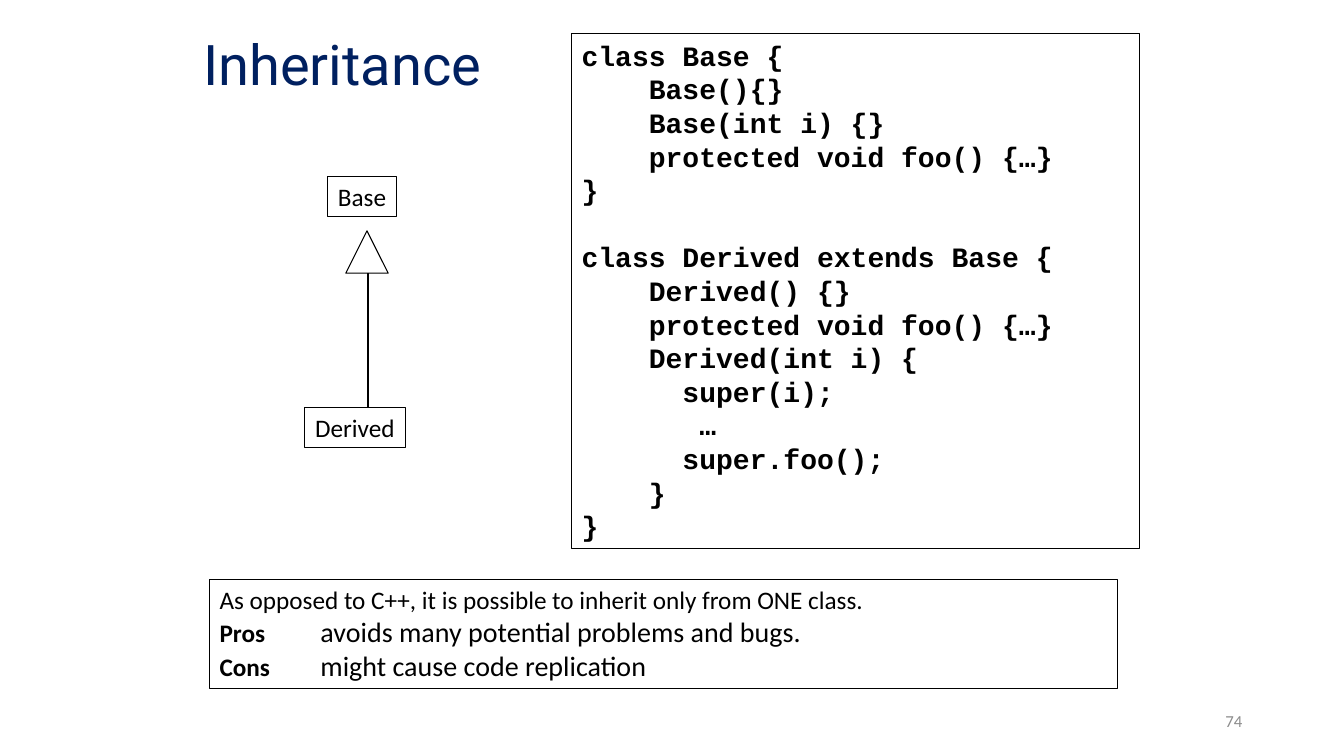
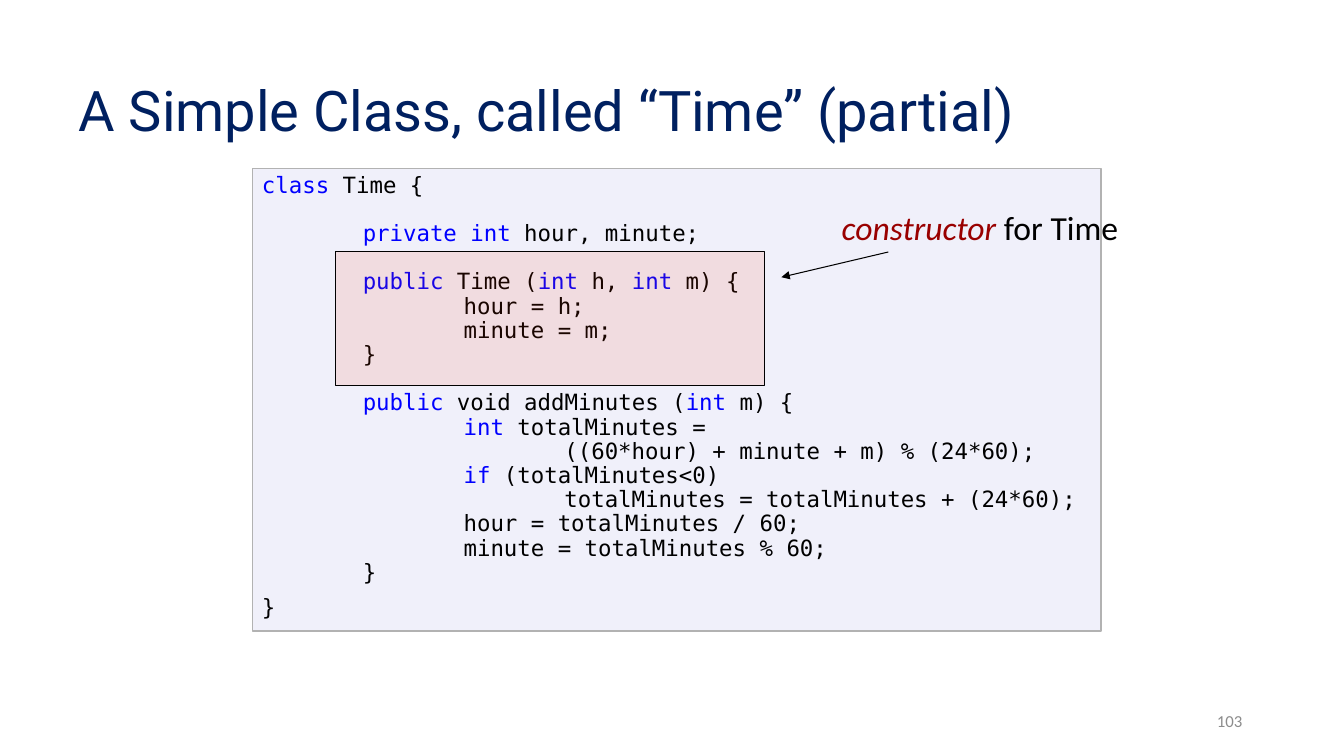
from lxml.etree import SubElement
from pptx import Presentation
from pptx.dml.color import RGBColor
from pptx.enum.shapes import MSO_CONNECTOR, MSO_SHAPE
from pptx.enum.text import MSO_ANCHOR, PP_ALIGN
from pptx.oxml.ns import qn
from pptx.util import Inches, Pt

COLORS = {
    "title": "002060",
    "text": "000000",
    "number": "8C8C8C",
    "keyword": "0000FF",
    "term": "990000",
    "code_fill": "F0F0FA",
    "code_line": "B2B2B2",
    "highlight": "FF3300",
}
BODY_FONT = "Calibri"
TITLE_FONT = "Roboto"
LINE_WIDTH = Pt(0.75)
MONO_LINE_HEIGHT = 1.2

BASE_CODE = """class Base {
    Base(){}
    Base(int i) {}
    protected void foo() {…}
}

class Derived extends Base {
    Derived() {}
    protected void foo() {…}
    Derived(int i) {
      super(i);
       …
      super.foo();
    }
}"""

# Keywords stand between bars
TIME_CODE = """|class| Time {

\t|private int| hour, minute;

\t|public| Time (|int| h, |int| m) {
\t\thour = h;
\t\tminute = m;
\t}

\t|public| void addMinutes (|int| m) {
\t\t|int| totalMinutes =
\t\t\t((60*hour) + minute + m) % (24*60);
\t\t|if| (totalMinutes<0)
\t\t\ttotalMinutes = totalMinutes + (24*60);
\t\thour = totalMinutes / 60;
\t\tminute = totalMinutes % 60;
\t}"""


def color(name):
    return RGBColor.from_string(COLORS[name])


def add_run(paragraph, text, size, ink="text", font=BODY_FONT, bold=False, italic=False):
    run = paragraph.add_run()
    run.text = text
    run.font.size = Pt(size)
    run.font.name = font
    run.font.bold = bold
    run.font.italic = italic
    run.font.color.rgb = color(ink)


def add_tab_stops(paragraph, count):
    """Put a tab stop at every inch."""
    stops = SubElement(paragraph._p.get_or_add_pPr(), qn("a:tabLst"))
    for inch in range(1, count + 1):
        SubElement(stops, qn("a:tab"), pos=str(Inches(inch)), algn="l")


def add_label(slide, left, top, width, height, anchor=MSO_ANCHOR.TOP):
    """Add a text box and return its first paragraph."""
    frame = slide.shapes.add_textbox(
        Inches(left), Inches(top), Inches(width), Inches(height)).text_frame
    frame.word_wrap = True
    frame.vertical_anchor = anchor
    return frame.paragraphs[0]


def add_box(slide, left, top, width, height, fill=None, line="text",
            preset=MSO_SHAPE.RECTANGLE):
    box = slide.shapes.add_shape(
        preset, Inches(left), Inches(top), Inches(width), Inches(height))
    box.shadow.inherit = False
    if fill:
        box.fill.solid()
        box.fill.fore_color.rgb = color(fill)
    else:
        box.fill.background()
    box.line.color.rgb = color(line)
    box.line.width = LINE_WIDTH
    box.text_frame.vertical_anchor = MSO_ANCHOR.TOP
    box.text_frame.paragraphs[0].alignment = PP_ALIGN.LEFT
    return box


def add_line(slide, x1, y1, x2, y2, arrow=False):
    line = slide.shapes.add_connector(
        MSO_CONNECTOR.STRAIGHT, Inches(x1), Inches(y1), Inches(x2), Inches(y2))
    line.line.color.rgb = color("text")
    line.line.width = LINE_WIDTH
    if arrow:
        SubElement(line.line._get_or_add_ln(), qn("a:tailEnd"), type="triangle")
    SubElement(line._element.spPr, qn("a:effectLst"))


def add_paragraph(frame):
    first = frame.paragraphs[0]
    paragraph = frame.add_paragraph() if first.runs else first
    paragraph.alignment = PP_ALIGN.LEFT
    return paragraph


def write_code(frame, code, size, font, spacing=1.0, bold=False):
    """One paragraph a line; an empty line becomes space before the next."""
    pitch = Pt(size * MONO_LINE_HEIGHT * spacing)
    gap = 0
    for line in code.split("\n"):
        if not line:
            gap = pitch
            continue
        paragraph = add_paragraph(frame)
        paragraph.line_spacing = pitch
        paragraph.space_before = gap
        gap = 0
        if "\t" in line:
            add_tab_stops(paragraph, 3)
        for index, part in enumerate(line.split("|")):
            if part:
                add_run(paragraph, part, size, "keyword" if index % 2 else "text",
                        font, bold)


def add_class_box(slide, name, left, top, width):
    box = add_box(slide, left, top, width, 0.4)
    box.text_frame.word_wrap = False
    paragraph = box.text_frame.paragraphs[0]
    paragraph.alignment = PP_ALIGN.CENTER
    add_run(paragraph, name, 18)


def start_slide(prs, title, title_place, number):
    """Add a slide with the shared title style and page number."""
    slide = prs.slides.add_slide(prs.slide_layouts[6])
    heading = add_label(slide, *title_place, anchor=MSO_ANCHOR.MIDDLE)
    heading.line_spacing = 0.9
    add_run(heading, title, 40, "title", TITLE_FONT)
    page = add_label(slide, 9.42, 6.95, 3, 0.4, MSO_ANCHOR.MIDDLE)
    page.alignment = PP_ALIGN.RIGHT
    add_run(page, number, 12, "number")
    return slide


def build_inheritance(prs):
    slide = start_slide(prs, "Inheritance", (1.92, 0.25, 3.67, 0.83), "74")

    # Class diagram
    add_class_box(slide, "Base", 3.25, 1.75, 0.68)
    add_class_box(slide, "Derived", 3.02, 4.04, 1)
    add_box(slide, 3.43, 2.29, 0.42, 0.42, preset=MSO_SHAPE.ISOSCELES_TRIANGLE)
    add_line(slide, 3.65, 4.04, 3.65, 2.71)

    # Code
    code = add_box(slide, 5.67, 0.33, 5.63, 5.11)
    write_code(code.text_frame, BASE_CODE, 20, "Courier New", bold=True)

    # Pros and cons
    remarks = add_box(slide, 2.08, 5.75, 9, 1.08).text_frame
    add_run(add_paragraph(remarks),
            "As opposed to C++, it is possible to inherit only from ONE class.", 18)
    for side, remark in (("Pros", "avoids many potential problems and bugs."),
                         ("Cons", "might cause code replication")):
        paragraph = add_paragraph(remarks)
        add_tab_stops(paragraph, 1)
        add_run(paragraph, side + "\t", 18, bold=True)
        add_run(paragraph, remark, 20)


def build_time_class(prs):
    slide = start_slide(prs, "A Simple Class, called “Time” (partial)",
                        (0.68, 0.4, 11.73, 1.45), "103")

    # Code, with the closing brace set slightly apart
    code = add_box(slide, 2.5, 1.67, 8.42, 4.59, "code_fill", "code_line").text_frame
    for part in (TIME_CODE, "}"):
        write_code(code, part, 16, "DejaVu Sans Mono", spacing=0.9)
    code.paragraphs[-1].space_before = Pt(8)

    # Constructor highlight
    highlight = add_box(slide, 3.33, 2.5, 4.25, 1.33, "highlight")
    tint = highlight._element.spPr.find(qn("a:solidFill")).find(qn("a:srgbClr"))
    SubElement(tint, qn("a:alpha"), val="10000")

    # Callout
    callout = add_label(slide, 8.25, 2, 3.25, 0.5)
    add_run(callout, "constructor", 24, "term", italic=True)
    add_run(callout, " for Time", 24)
    add_line(slide, 8.81, 2.5, 7.75, 2.75, arrow=True)


def main():
    prs = Presentation()
    prs.slide_width = Inches(13.33)
    prs.slide_height = Inches(7.5)
    build_inheritance(prs)
    build_time_class(prs)
    prs.save("out.pptx")


if __name__ == "__main__":
    main()
